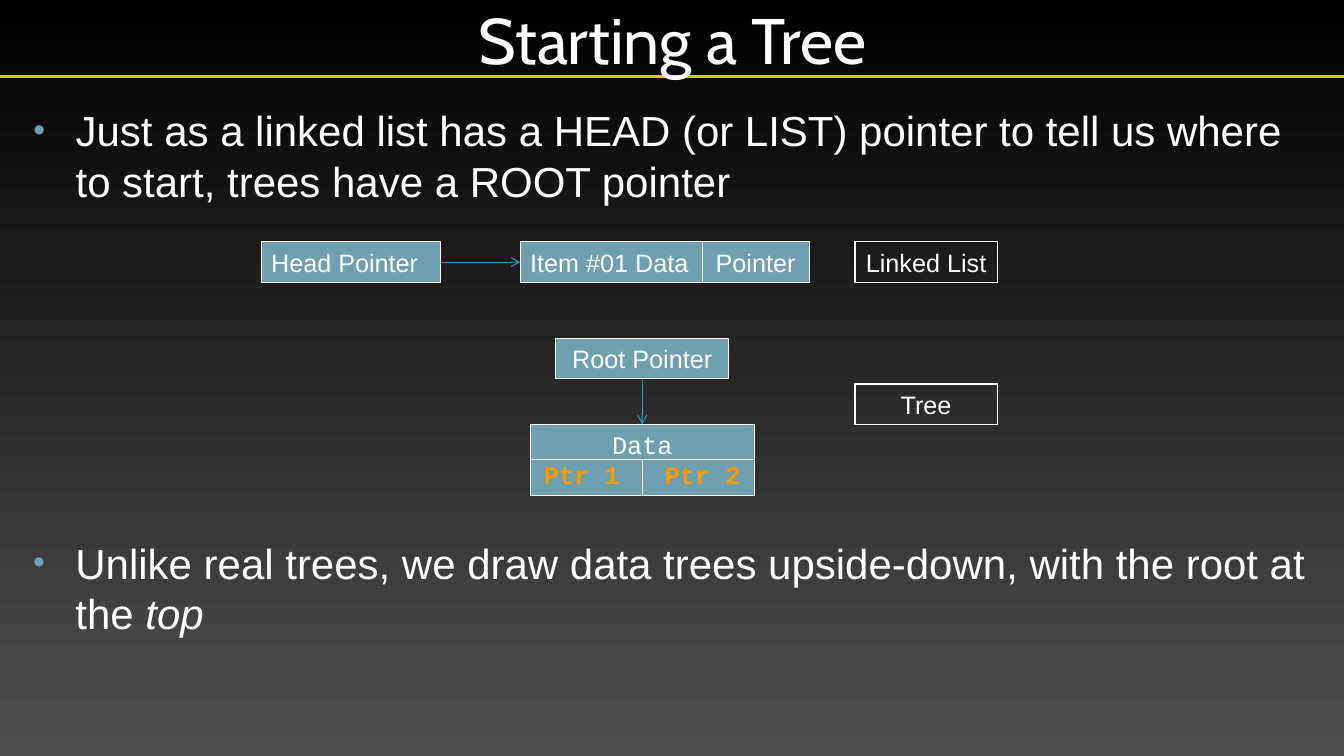
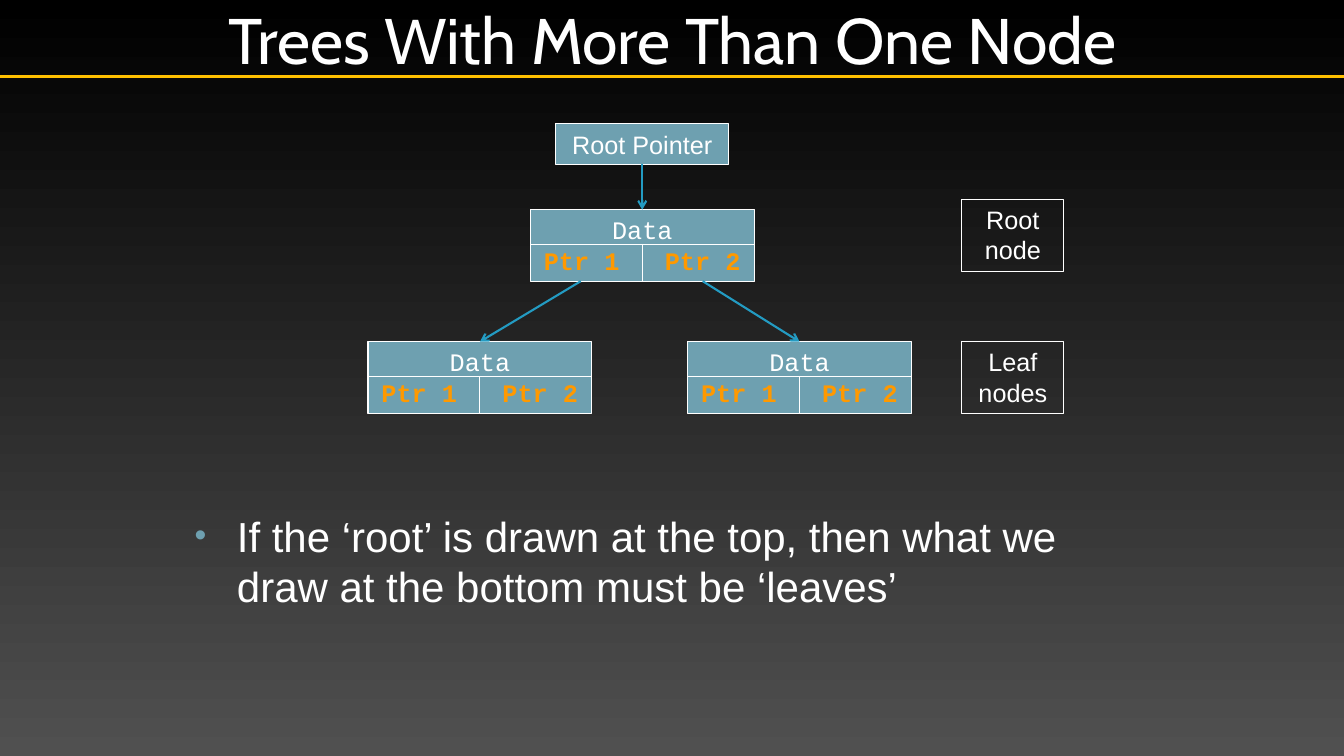
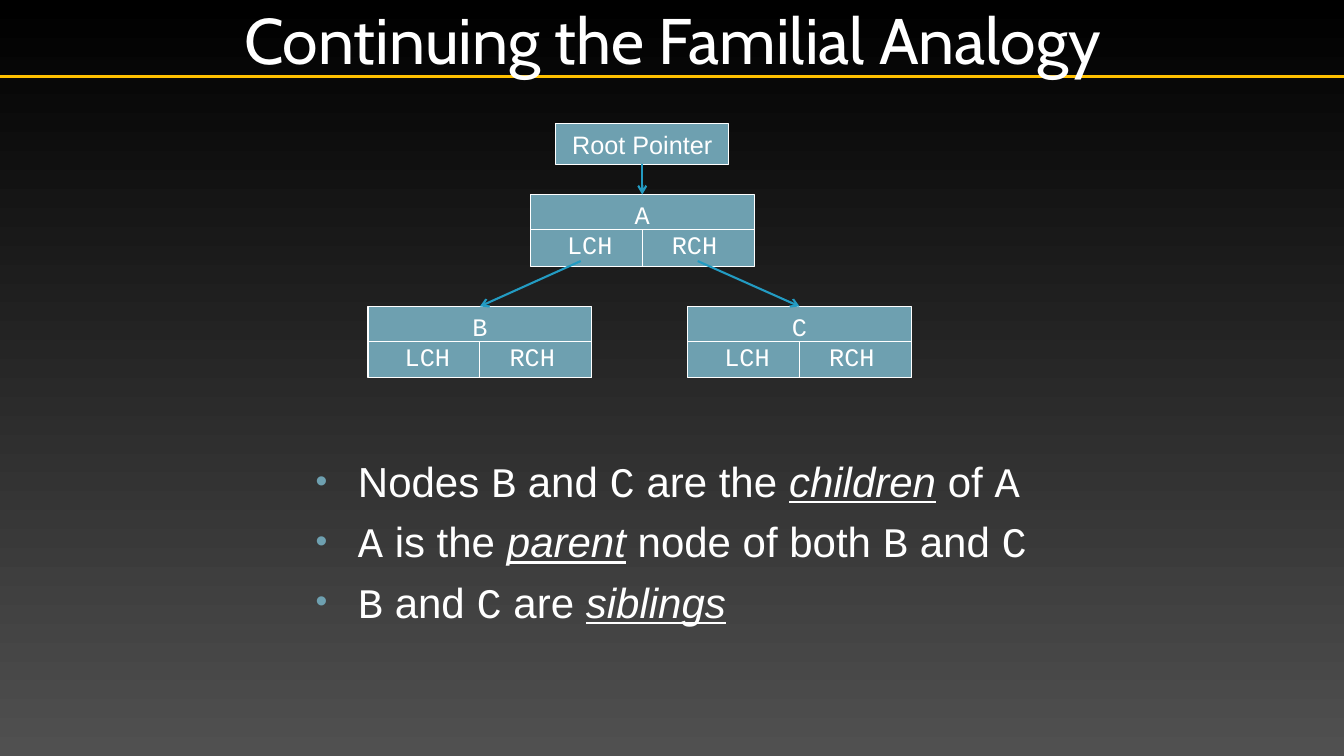
from pptx import Presentation
from pptx.dml.color import RGBColor
from pptx.enum.shapes import MSO_CONNECTOR, MSO_SHAPE
from pptx.enum.text import MSO_ANCHOR, MSO_AUTO_SIZE, PP_ALIGN
from pptx.oxml.ns import qn
from pptx.oxml.xmlchemy import OxmlElement
from pptx.util import Pt

PX = 9144  # EMU per px, 100 px to the inch
WIDE, HIGH = 1333, 750
BLACK = RGBColor(0x00, 0x00, 0x00)
GREY = RGBColor(0x50, 0x50, 0x50)
WHITE = RGBColor(0xFF, 0xFF, 0xFF)
GOLD = RGBColor(0xFF, 0xC0, 0x00)
TEAL = RGBColor(0x6E, 0xA0, 0xB0)
AQUA = RGBColor(0x23, 0x9B, 0xC2)
AMBER = RGBColor(0xFF, 0x99, 0x00)
SANS, MONO, HEAD = "Arial", "Courier New", "Cabin"
RECT, LINE = MSO_SHAPE.RECTANGLE, MSO_CONNECTOR.STRAIGHT
LEFT, MID = PP_ALIGN.LEFT, PP_ALIGN.CENTER
TOP, CENTER = MSO_ANCHOR.TOP, MSO_ANCHOR.MIDDLE
FIXED = MSO_AUTO_SIZE.NONE
NORTH, WEST, SOUTH, EAST = 0, 1, 2, 3  # rectangle sides
INSET, NODE_W, NODE_H = 10, 222, 71

# Run looks for list text
PLAIN = {}
CODE = {"font": MONO}
ITALIC = {"italic": True}
TERM = {"italic": True, "underline": True}


def px(*nums):
    return [round(n * PX) for n in nums]


def child(parent, tag, **attrs):
    part = OxmlElement(tag)
    for key, val in attrs.items():
        part.set(key, str(val))
    parent.append(part)
    return part


def put(par, text, size, font=SANS, color=WHITE, **look):
    run = par.add_run()
    run.text = text
    run.font.size, run.font.name = Pt(size), font
    run.font.color.rgb = color
    for key, val in look.items():
        setattr(run.font, key, val)


def move(shape, box):
    shape.left, shape.top, shape.width, shape.height = px(*box)


def setup(frame, anchor=TOP):
    frame.word_wrap = True
    frame.auto_size = FIXED
    frame.vertical_anchor = anchor


def tabs(par, *stops):
    """Set tab stops, given as (px, alignment)."""
    row = child(par._p.get_or_add_pPr(), "a:tabLst")
    for pos, side in stops:
        child(row, "a:tab", pos=px(pos)[0], algn=side)


# Lines and boxes
def line(slide, start, end, color=WHITE, width=0.75, head=False):
    link = slide.shapes.add_connector(LINE, *px(*start, *end))
    link.line.color.rgb = color
    link.line.width = Pt(width)
    props = link.element.spPr
    if head:
        child(props.find(qn("a:ln")), "a:tailEnd", type="arrow")
    child(props, "a:effectLst")
    return link


def join(slide, first, side, last, end, width):
    link = line(slide, (0, 0), (1, 1), AQUA, width, True)
    link.begin_connect(first, side)
    link.end_connect(last, end)


def block(slide, box, text="", fill=TEAL, align=MID, font=SANS):
    shape = slide.shapes.add_shape(RECT, *px(*box))
    shape.shadow.inherit = False
    if fill is None:
        shape.fill.background()
    else:
        shape.fill.solid()
        shape.fill.fore_color.rgb = fill
    shape.line.color.rgb = WHITE
    shape.line.width = Pt(0.75)
    setup(shape.text_frame, TOP)
    par = shape.text_frame.paragraphs[0]
    par.alignment = align
    put(par, text, 18, font)
    return shape


# Tree parts
def node(slide, x, y, name, kids, spread, look):
    """A data cell over two pointer cells."""
    shape = block(slide, (x, y, NODE_W, NODE_H), name, font=MONO)
    par = shape.text_frame.add_paragraph()
    par.alignment = LEFT
    mid = NODE_W // 2
    tabs(par, *((mid - INSET + d, "ctr") for d in (-spread, spread)))
    put(par, "".join("\t" + kid for kid in kids), 18, MONO, **look)
    line(slide, (x, y + 35), (x + NODE_W, y + 35))
    line(slide, (x + mid, y + 35), (x + mid, y + NODE_H))
    return shape


def stem(slide, x, y, drop, name, width, style):
    """The root pointer and the node below it."""
    root = block(slide, (x + 25, y, 172, 40), "Root Pointer")
    top = node(slide, x, y + drop, name, *style)
    join(slide, root, SOUTH, top, NORTH, width)


def tree(slide, x, y, names, drops, starts, style):
    """A root node with two leaves; starts are the arrow tails."""
    stem(slide, x + 161, y, drops[0], names[0], 1.5, style)
    for name, shift, (dx, dy) in zip(names[1:], (0, 317), starts):
        leaf = node(slide, x + shift, y + drops[1], name, *style)
        tail = (x + dx, y + dy)
        link = line(slide, tail, (x + shift, y + drops[1]), AQUA, 1.5, True)
        link.end_connect(leaf, NORTH)


def chain(slide, x, y):
    """The head pointer and the first item of a linked list."""
    first = block(slide, (x, y, 178, 40), "Head Pointer", align=LEFT)
    item = block(slide, (x + 257, y, 287, 40), "Item #01 Data\tPointer", align=LEFT)
    tabs(item.text_frame.paragraphs[0], (184, "l"))
    line(slide, (x + 438, y), (x + 438, y + 40))
    join(slide, first, EAST, item, WEST, 0.75)


def label(slide, box, text):
    block(slide, box, text, fill=None)


# Text regions
def bullets(shape, box, rows):
    move(shape, box)
    frame = shape.text_frame
    setup(frame)
    for i, row in enumerate(rows):
        par = frame.add_paragraph() if i else frame.paragraphs[0]
        par.alignment = LEFT
        par.space_before = Pt(7)
        props = par._p.get_or_add_pPr()
        props.set("marL", str(px(46)[0]))
        props.set("indent", str(px(-42)[0]))
        child(child(props, "a:buClr"), "a:srgbClr", val=TEAL)
        child(props, "a:buSzPct", val=80000)
        child(props, "a:buFont", typeface=SANS)
        child(props, "a:buChar", char="•")
        for text, look in row:
            put(par, text, 30, **look)


def page(prs, title):
    """A slide with its title set; returns the slide and its body."""
    slide = prs.slides.add_slide(prs.slide_layouts[1])
    head, body = slide.placeholders
    move(head, (167, 0, 1000, 76))
    frame = head.text_frame
    setup(frame, CENTER)
    frame.margin_left = frame.margin_right = px(5)[0]
    frame.margin_top = frame.margin_bottom = px(5)[0]
    par = frame.paragraphs[0]
    par.alignment = MID
    put(par, title, 46, HEAD)
    return slide, body


def theme(prs, slide):
    """Put the gradient and the gold rule on the master."""
    master = prs.slide_master
    fill = master.background.fill
    fill.gradient()
    fill.gradient_angle = 270
    for stop, color in zip(fill.gradient_stops, (BLACK, GREY)):
        stop.color.rgb = color
    rule = line(slide, (0, 76), (WIDE, 76), GOLD, 2.5)
    master.element.cSld.spTree.append(rule.element)


PTRS = (("Ptr 1", "Ptr 2"), 60, {"color": AMBER, "bold": True})
KIDS = (("LCH", "RCH"), 52, PLAIN)


def start(prs):
    slide, body = page(prs, "Starting a Tree")
    theme(prs, slide)
    bullets(body, (19, 99, 1300, 126), [[
        ("Just as a linked list has a HEAD (or LIST) pointer to tell us "
         "where to start, trees have a ROOT pointer", PLAIN)]])
    chain(slide, 259, 240)
    label(slide, (848, 240, 141, 40), "Linked List")
    stem(slide, 526, 336, 85, "Data", 0.75, PTRS)
    label(slide, (848, 381, 141, 40), "Tree")
    box = (19, 528, 1300, 131)
    bullets(slide.shapes.add_textbox(*px(*box)), box, [[
        ("Unlike real trees, we draw data trees upside-down, "
         "with the root at the ", PLAIN), ("top", ITALIC)]])


def nodes(prs):
    slide, body = page(prs, "Trees With More Than One Node")
    tree(slide, 365, 123, ("Data",) * 3, (85, 216),
         ((211, 156), (332, 156)), PTRS)
    for y, text in ((198, "Root node"), (339, "Leaf nodes")):
        label(slide, (954, y, 101, 71), text)
    bullets(body, (179, 501, 976, 131), [[
        ("If the ‘root’ is drawn at the top, then what we draw "
         "at the bottom must be ‘leaves’", PLAIN)]])


def family(prs):
    slide, body = page(prs, "Continuing the Familial Analogy")
    tree(slide, 365, 123, "ABC", (70, 181), ((211, 136), (327, 136)), KIDS)
    a, b, c = ((name, CODE) for name in "ABC")
    both = (" and ", PLAIN)
    bullets(body, (299, 447, 732, 206), [
        [("Nodes ", PLAIN), b, both, c, (" are the ", PLAIN),
         ("children", TERM), (" of ", PLAIN), a],
        [a, (" is the ", PLAIN), ("parent", TERM),
         (" node of both ", PLAIN), b, both, c],
        [b, both, c, (" are ", PLAIN), ("siblings", TERM)]])


def main():
    prs = Presentation()
    prs.slide_width, prs.slide_height = px(WIDE, HIGH)
    for build in (start, nodes, family):
        build(prs)
    prs.save("out.pptx")


if __name__ == "__main__":
    main()
